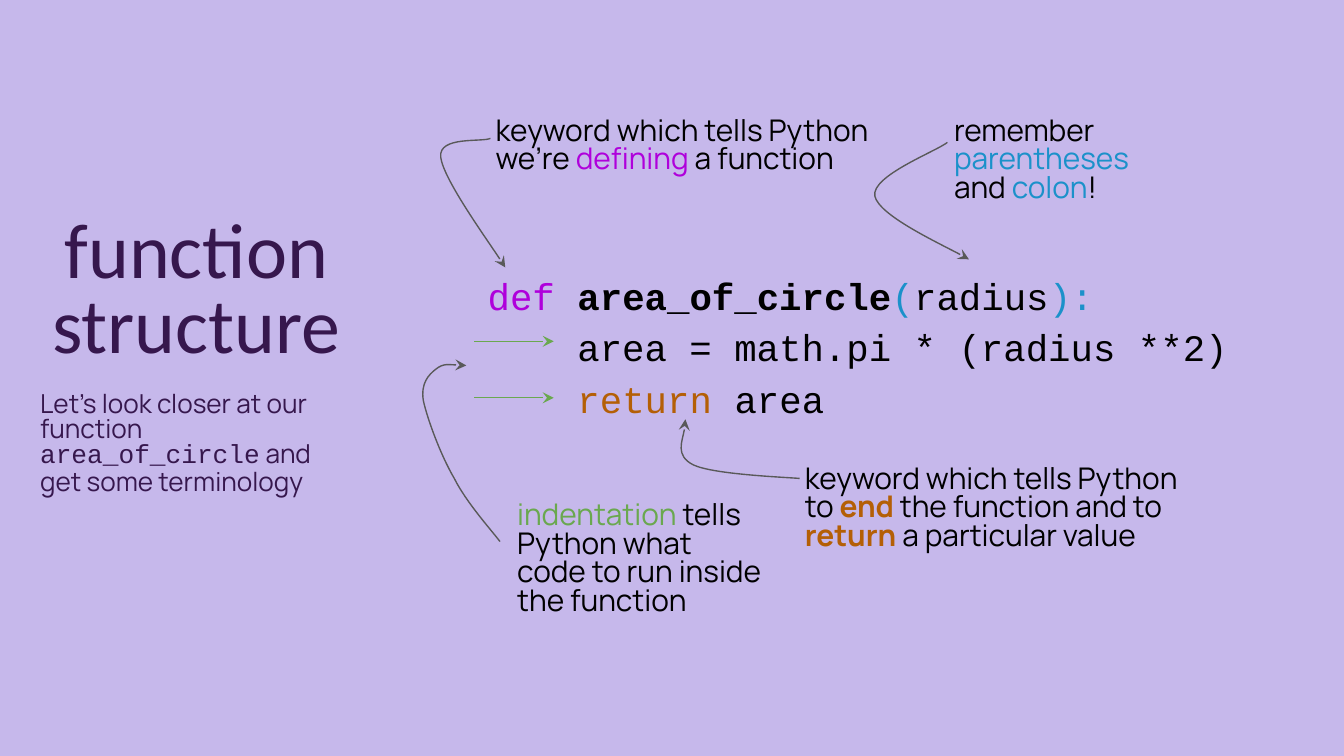
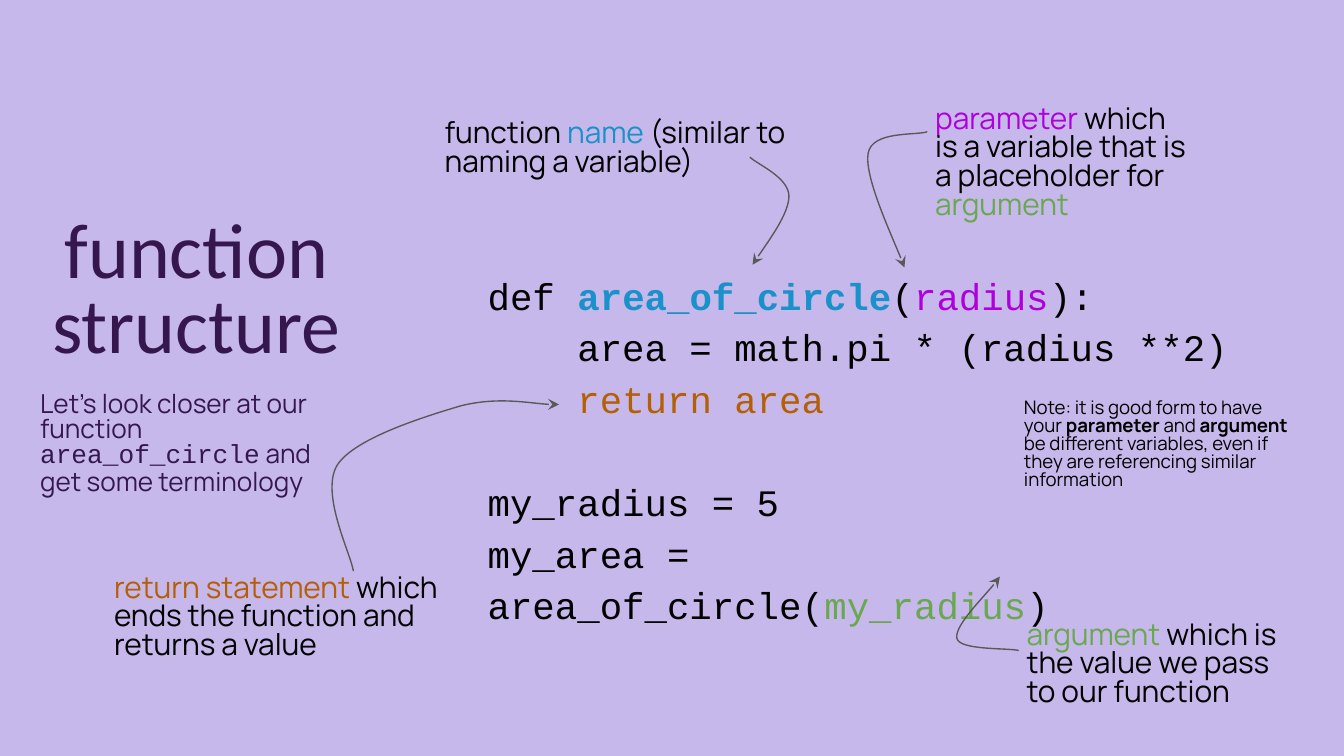
from lxml.etree import SubElement
from pptx import Presentation
from pptx.dml.color import RGBColor
from pptx.enum.shapes import MSO_CONNECTOR
from pptx.enum.text import MSO_AUTO_SIZE, PP_ALIGN
from pptx.oxml.ns import qn
from pptx.util import Inches, Pt

LILAC = RGBColor(0xC6, 0xB8, 0xEB)
PLUM = RGBColor(0x36, 0x17, 0x4D)
BLACK = RGBColor(0x00, 0x00, 0x00)
GREY = RGBColor(0x59, 0x59, 0x59)
PURPLE = RGBColor(0xAF, 0x00, 0xDB)
BLUE = RGBColor(0x1B, 0x91, 0xCA)
ORANGE = RGBColor(0xB4, 0x5F, 0x06)
GREEN = RGBColor(0x6A, 0xA8, 0x4F)

HEAD, BODY, MONO = "Calibri", "Manrope", "Courier New"


class Deck:
    """Hold the shared style and the current slide, and draw its elements."""

    def __init__(self):
        self.prs = Presentation()
        self.prs.slide_width = Inches(10)
        self.prs.slide_height = Inches(5.625)
        self.s = None

    def slide(self):
        self.s = self.prs.slides.add_slide(self.prs.slide_layouts[6])
        self.s.background.fill.solid()
        self.s.background.fill.fore_color.rgb = LILAC
        self.text(0.2, 1.53, 2.52, 2.29, [
            ([("function structure", {"name": HEAD, "size": Pt(41.7)})],
             {"alignment": PP_ALIGN.CENTER}),
            ([("Let’s look closer at our function ", {}),
              ("area_of_circle", {"name": MONO}),
              (" and get some terminology", {}),
              (" ", {"size": Pt(16)})],
             {"space_before": Pt(13.4)}),
        ], {"name": BODY, "size": Pt(14), "color": PLUM})

    def text(self, x, y, w, h, paragraphs, base, spacing=0.8):
        box = self.s.shapes.add_textbox(Inches(x), Inches(y), Inches(w), Inches(h))
        tf = box.text_frame
        frame = {"word_wrap": True, "auto_size": MSO_AUTO_SIZE.SHAPE_TO_FIT_TEXT}
        for side in ("left", "right", "top", "bottom"):
            frame[f"margin_{side}"] = Inches(0.1)
        self.apply(tf, frame)
        for i, (runs, layout) in enumerate(paragraphs):
            p = tf.add_paragraph() if i else tf.paragraphs[0]
            self.apply(p, {"line_spacing": spacing, **layout})
            for words, extra in runs:
                r = p.add_run()
                r.text = words
                self.apply(r.font, {**base, **extra})

    def apply(self, target, values):
        for name, value in values.items():
            if name == "color":
                target.color.rgb = value
            else:
                setattr(target, name, value)

    def note(self, x, y, w, h, *runs, size=16):
        base = {"name": BODY, "size": Pt(size), "color": BLACK}
        self.text(x, y, w, h, [(runs, {})], base)

    def code(self, h, *lines):
        base = {"name": MONO, "size": Pt(20), "color": BLACK}
        self.text(3.53, 1.88, 5.82, h, lines, base, spacing=1.15)

    def arrow_line(self, shape, color):
        self.apply(shape.line, {"width": Pt(0.75), "color": color})
        ln = shape.element.spPr.find(qn("a:ln"))
        SubElement(ln, qn("a:tailEnd"), type="stealth")

    def arrow(self, x1, y1, x2, y2, color):
        line = self.s.shapes.add_connector(
            MSO_CONNECTOR.STRAIGHT, Inches(x1), Inches(y1), Inches(x2), Inches(y2))
        self.arrow_line(line, color)
        SubElement(line.element.spPr, qn("a:effectLst"))

    def curve(self, start, *beziers):
        builder = self.s.shapes.build_freeform(Inches(start[0]), Inches(start[1]))
        builder.add_line_segments(
            [(Inches(x), Inches(y)) for bezier in beziers for x, y in bezier],
            close=False)
        shape = builder.convert_to_shape()
        outline = next(shape.element.spPr.iter(qn("a:path")))
        segments = outline.findall(qn("a:lnTo"))
        for i in range(0, len(segments), 3):
            bezier = SubElement(outline, qn("a:cubicBezTo"))
            for segment in segments[i:i + 3]:
                bezier.append(segment[0])
                outline.remove(segment)
        shape.shadow.inherit = False
        shape.fill.background()
        self.arrow_line(shape, GREY)


def plain(words):
    return words, {}


def tint(words, color, bold=False):
    return words, {"color": color, "bold": bold}


AREA_LINE = ([plain("    area = math.pi * (radius **2)")], {})


def keywords_slide(deck):
    deck.slide()
    deck.code(
        1.31,
        ([tint("def ", PURPLE), tint("area_of_circle", BLACK, True),
          tint("(", BLUE), plain("radius"), tint("):", BLUE)], {}),
        AREA_LINE,
        ([plain("    "), tint("return", ORANGE), plain(" area")], {}))

    deck.note(3.59, 0.78, 3.2, 0.63, plain("keyword which tells Python we’re "),
              tint("defining", PURPLE), plain(" a function"))
    deck.curve((3.65, 1.03),
               ((3.59, 1.06), (3.26, 1.01), (3.28, 1.17)),
               ((3.3, 1.33), (3.68, 1.86), (3.76, 1.99)))

    deck.note(7, 0.78, 1.92, 0.85, plain("remember "), tint("parentheses", BLUE),
              plain(" and "), tint("colon", BLUE), plain("!"))
    deck.curve((7.05, 1.06),
               ((6.96, 1.13), (6.48, 1.31), (6.51, 1.46)),
               ((6.54, 1.6), (7.09, 1.86), (7.21, 1.93)))

    deck.note(5.89, 3.37, 3.2, 0.85, plain("keyword which tells Python to "),
              tint("end", ORANGE, True), plain(" the function and to "),
              tint("return", ORANGE, True), plain(" a particular value"))

    for y in (2.54, 2.96):
        deck.arrow(3.53, y, 4.12, y, GREEN)
    deck.note(3.75, 3.64, 2.05, 1.06, tint("indentation", GREEN),
              plain(" tells Python what code to run inside the function"))
    deck.curve((3.72, 4.03),
               ((3.66, 3.95), (3.47, 3.74), (3.38, 3.56)),
               ((3.28, 3.39), (3.18, 3.12), (3.15, 2.98)),
               ((3.13, 2.85), (3.19, 2.79), (3.24, 2.75)),
               ((3.3, 2.7), (3.44, 2.72), (3.47, 2.72)))
    deck.curve((5.95, 3.56),
               ((5.82, 3.55), (5.31, 3.53), (5.16, 3.46)),
               ((5.02, 3.39), (5.11, 3.18), (5.1, 3.12)))


def terms_slide(deck):
    deck.slide()
    deck.code(
        2.47,
        ([plain("def "), tint("area_of_circle", BLUE, True), plain("("),
          tint("radius", PURPLE), plain("):")], {}),
        AREA_LINE,
        ([plain("    "), tint("return area", ORANGE)], {}),
        ([plain("my_radius = 5")], {"space_before": Pt(27.8)}),
        ([plain("my_area = area_of_circle("), tint("my_radius", GREEN),
          plain(")")], {}))

    deck.note(3.21, 0.8, 2.75, 0.63, plain("function "), tint("name", BLUE),
              plain(" (similar to naming a variable)"))
    deck.curve((5.58, 1.17),
               ((5.63, 1.22), (5.87, 1.32), (5.87, 1.46)),
               ((5.87, 1.59), (5.65, 1.89), (5.6, 1.97)))

    deck.note(6.86, 0.69, 2.12, 1.06, tint("parameter", PURPLE),
              plain(" which is a variable that is a placeholder for "),
              tint("argument", GREEN))
    deck.curve((6.9, 0.98),
               ((6.82, 1.01), (6.49, 0.97), (6.46, 1.14)),
               ((6.43, 1.31), (6.68, 1.85), (6.73, 1.99)))

    deck.note(0.75, 4.18, 2.78, 0.85, tint("return statement ", ORANGE),
              plain("which ends the function and returns a value"))
    deck.curve((2.63, 4.25),
               ((2.61, 4.12), (2.38, 3.67), (2.51, 3.46)),
               ((2.64, 3.26), (3.16, 3.1), (3.43, 3.02)),
               ((3.71, 2.95), (4.04, 3.02), (4.16, 3.01)))

    deck.note(7.54, 4.53, 2.12, 0.85, tint("argument", GREEN),
              plain(" which is the value we pass to our function"))
    deck.curve((7.58, 4.84),
               ((7.5, 4.82), (7.14, 4.84), (7.12, 4.75)),
               ((7.1, 4.66), (7.39, 4.37), (7.44, 4.29)))

    deck.note(7.52, 2.88, 2.21, 0.88, plain("Note: it is good form to have your "),
              tint("parameter", BLACK, True), plain(" and "),
              tint("argument", BLACK, True),
              plain(" be different variables, even if they are referencing "
                    "similar information"), size=10)


def main():
    deck = Deck()
    keywords_slide(deck)
    terms_slide(deck)
    deck.prs.save("out.pptx")


if __name__ == "__main__":
    main()
